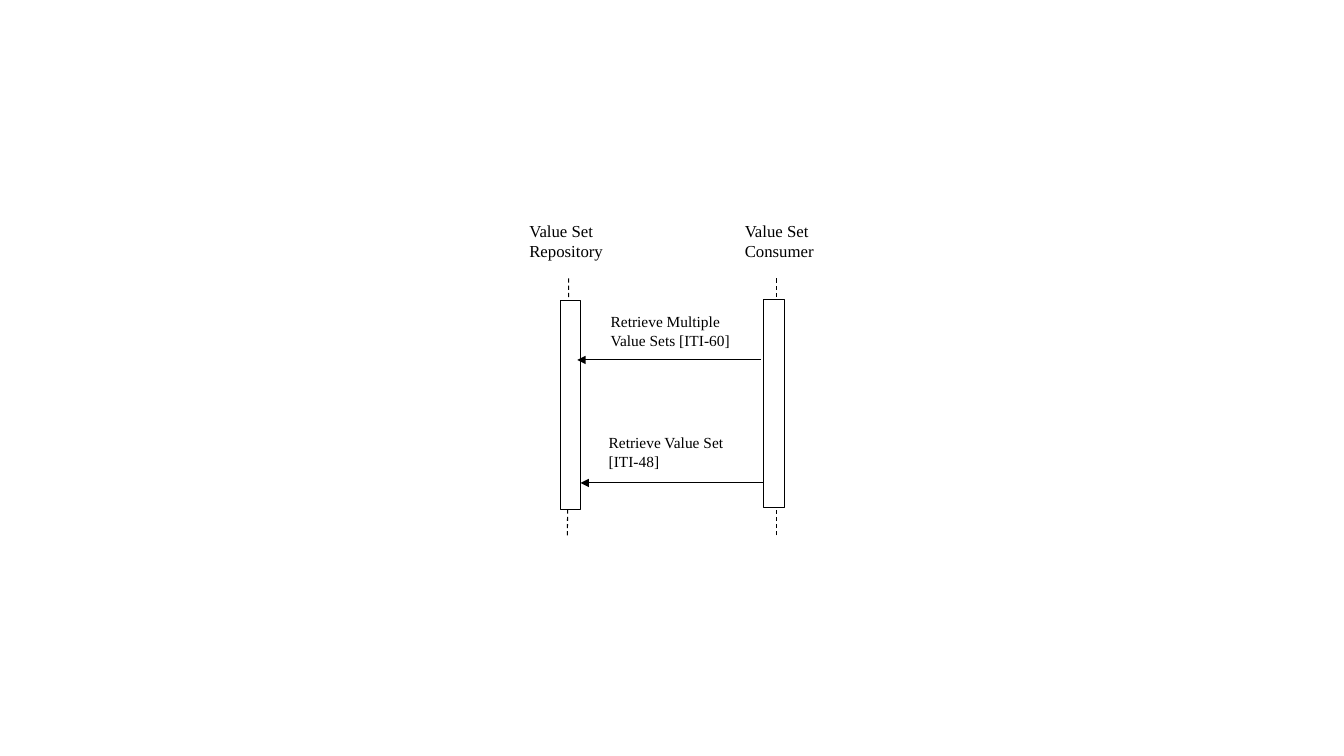
from dataclasses import dataclass

from lxml.etree import SubElement
from pptx import Presentation
from pptx.dml.color import RGBColor
from pptx.enum.dml import MSO_LINE_DASH_STYLE as Dash
from pptx.enum.shapes import MSO_CONNECTOR as Connector, MSO_SHAPE as Shape
from pptx.enum.text import MSO_ANCHOR as Anchor, PP_ALIGN as Align
from pptx.oxml.ns import qn
from pptx.util import Cm, Pt


@dataclass(frozen=True)
class Theme:
    ink: RGBColor = RGBColor(0, 0, 0)
    paper: RGBColor = RGBColor(255, 255, 255)
    font: str = "Times New Roman"
    actor_size: float = 12
    message_size: float = 11
    stroke: float = 0.75


def write_text(frame, text, *, font, size, color, align=Align.LEFT):
    frame.word_wrap = True
    frame.vertical_anchor = Anchor.TOP
    frame.margin_left = frame.margin_right = frame.margin_top = frame.margin_bottom = 0
    paragraph = frame.paragraphs[0]
    paragraph.alignment = align
    run = paragraph.add_run()
    run.text = text
    run.font.name = font
    run.font.size = Pt(size)
    run.font.color.rgb = color


class SequenceDiagram:
    def __init__(self, slide, theme):
        self.slide = slide
        self.theme = theme

    def box(self, left, top, width, height):
        panel = self.slide.shapes.add_shape(
            Shape.RECTANGLE, Cm(left), Cm(top), Cm(width), Cm(height))
        panel.shadow.inherit = False
        panel.fill.solid()
        panel.fill.fore_color.rgb = self.theme.paper
        panel.line.fill.background()
        return panel

    def activation(self, left, top, width=0.51, height=5.26):
        bar = self.box(left, top, width, height)
        bar.line.color.rgb = self.theme.ink
        bar.line.width = Pt(self.theme.stroke)

    def label(self, text, left, top, width, height, size):
        caption = self.box(left, top, width, height)
        write_text(caption.text_frame, text, font=self.theme.font,
                   size=size, color=self.theme.ink)

    def line(self, x1, y1, x2, y2):
        stroke = self.slide.shapes.add_connector(
            Connector.STRAIGHT, Cm(x1), Cm(y1), Cm(x2), Cm(y2))
        stroke.line.color.rgb = self.theme.ink
        stroke.line.width = Pt(self.theme.stroke)
        SubElement(stroke._element.spPr, qn("a:effectLst"))
        return stroke

    def lifeline(self, bottom_x, top_x):
        self.line(bottom_x, 13.49, top_x, 6.99).line.dash_style = Dash.DASH

    def arrow(self, start, end, y):
        message = self.line(start, y, end, y)
        SubElement(message.line._get_or_add_ln(), qn("a:tailEnd"), type="triangle")


def main():
    deck = Presentation()
    deck.slide_width, deck.slide_height = Cm(33.87), Cm(19.05)
    theme = Theme()
    diagram = SequenceDiagram(deck.slides.add_slide(deck.slide_layouts[6]), theme)

    actors = [
        ("Value Set Repository", 13.34, 1.27, 14.3, 14.33, 14.12, 7.57),
        ("Value Set Consumer", 18.77, 1.32, 19.58, 19.58, 19.25, 7.54),
    ]
    for name, left, height, bottom_x, top_x, bar_left, bar_top in actors:
        diagram.label(name, left, 5.56, 3.3, height, theme.actor_size)
        diagram.lifeline(bottom_x, top_x)
        diagram.activation(bar_left, bar_top)

    messages = [
        ("Retrieve Multiple Value Sets [ITI-60]", 15.39, 7.87, 1.24, 19.18, 14.55, 9.07),
        ("Retrieve Value Set [ITI-48]", 15.34, 10.92, 1.78, 19.25, 14.63, 12.17),
    ]
    for text, left, top, height, start, end, y in messages:
        diagram.label(text, left, top, 3.2, height, theme.message_size)
        diagram.arrow(start, end, y)

    deck.save("out.pptx")


if __name__ == "__main__":
    main()
